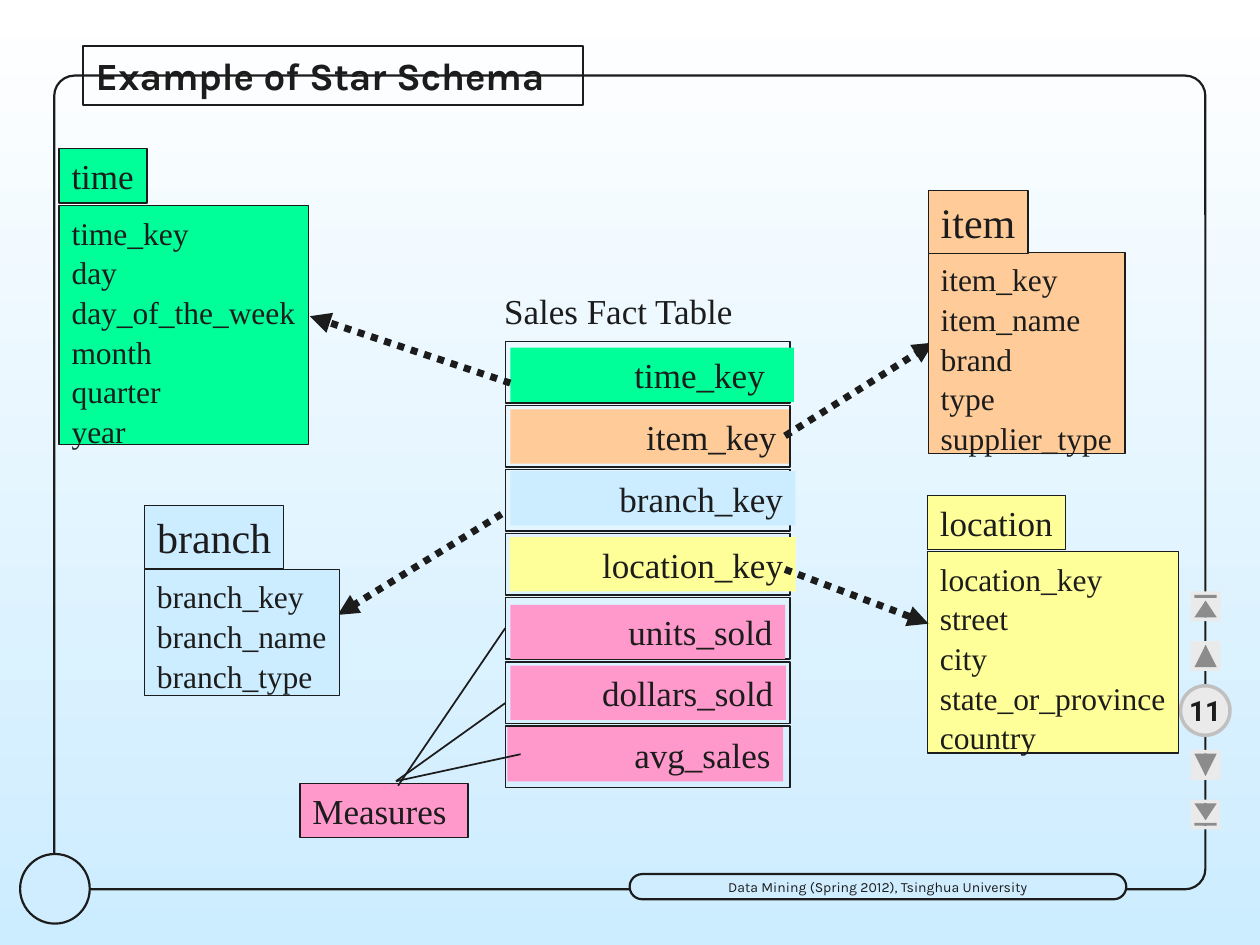
from lxml import etree
from pptx import Presentation
from pptx import util as u
from pptx.dml.color import RGBColor
from pptx.enum import dml, shapes, text
from pptx.oxml.ns import qn

COLORS = {
    "ink": "1C1C1C", "white": "FFFFFF", "sky": "CCECFF", "panel": "CFEDFF",
    "green": "00FF99", "orange": "FFCC99", "yellow": "FFFF99", "pink": "FF99CC",
    "button": "EAEAEA", "ring": "C0C0C0",
}
SERIF, SANS = "Times New Roman", "Karla"
SHAPE = shapes.MSO_SHAPE
LEFT, CENTER, RIGHT = text.PP_ALIGN.LEFT, text.PP_ALIGN.CENTER, text.PP_ALIGN.RIGHT
TOP, MIDDLE = text.MSO_ANCHOR.TOP, text.MSO_ANCHOR.MIDDLE


def rgb(name):
    return RGBColor.from_string(COLORS[name])


def write(sp, content, size=20, font=SERIF, bold=False, align=LEFT, anchor=TOP,
          wrap=False, right=7.2, spacing=1.0):
    """Put one paragraph per line of content into a shape."""
    tf = sp.text_frame
    tf.auto_size = text.MSO_AUTO_SIZE.NONE
    tf.word_wrap, tf.vertical_anchor = wrap, anchor
    tf.margin_left, tf.margin_right = u.Pt(7.2), u.Pt(right)
    tf.margin_top = tf.margin_bottom = u.Pt(3.6)
    for i, line in enumerate(content.split("\n")):
        p = tf.paragraphs[0] if i == 0 else tf.add_paragraph()
        p.alignment, p.line_spacing = align, spacing
        p.space_before = p.space_after = u.Pt(0)
        r = p.add_run()
        r.text = line
        r.font.name, r.font.size, r.font.bold = font, u.Pt(size), bold
        r.font.color.rgb = rgb("ink")


class Board:
    """Holds the style and the current slide."""

    def __init__(self, prs):
        self.s = prs.slides.add_slide(prs.slide_layouts[5])
        fill = self.s.background.fill
        fill.gradient()
        fill.gradient_angle = 270
        for stop, name in zip(fill.gradient_stops, ("white", "sky")):
            stop.color.rgb = rgb(name)
        fill.gradient_stops[0].position = 0
        fill.gradient_stops[1].position = 1

    def title(self, content, x, y, w, h):
        sp = self.s.shapes.title
        sp.left, sp.top, sp.width, sp.height = map(u.Pt, (x, y, w, h))
        self.outline(sp, "ink", 1.25)
        write(sp, content, size=22, font=SANS, bold=True, anchor=MIDDLE, wrap=True)

    def outline(self, sp, color, width):
        if color:
            sp.line.color.rgb, sp.line.width = rgb(color), u.Pt(width)
        else:
            sp.line.fill.background()

    def box(self, x, y, w, h, fill=None, line=None, width=0.75, kind=SHAPE.RECTANGLE, corner=None):
        sp = self.s.shapes.add_shape(kind, *map(u.Pt, (x, y, w, h)))
        sp.shadow.inherit = False
        if fill:
            sp.fill.solid()
            sp.fill.fore_color.rgb = rgb(fill)
        else:
            sp.fill.background()
        self.outline(sp, line, width)
        if corner is not None:
            sp.adjustments[0] = corner
        return sp

    def button(self, kind, y):
        self.box(680.4, y, 17, 17, "button", kind=kind).rotation = 90

    def dimension(self, name, fields, color, head, body, **name_format):
        """Draw a dimension table: its list of fields and the name above it."""
        write(self.box(*body, color, "ink"), fields, size=18, spacing=1.05)
        write(self.box(*head, color, "ink"), name, **name_format)

    def line(self, start, end, width=1, arrow=False):
        c = self.s.shapes.add_connector(shapes.MSO_CONNECTOR.STRAIGHT, *map(u.Pt, (*start, *end)))
        self.outline(c, "ink", width)
        if arrow:
            c.line.dash_style = dml.MSO_LINE.ROUND_DOT
            etree.SubElement(c.line._get_or_add_ln(), qn("a:tailEnd"), type="triangle")
        etree.SubElement(c._element.spPr, qn("a:effectLst"))


def draw_frame(board):
    board.box(31, 43.2, 657.8, 465, line="ink", width=1.25,
              kind=SHAPE.ROUNDED_RECTANGLE, corner=0.025)
    board.box(11.5, 488, 39.8, 39.8, "panel", "ink", 1.25, SHAPE.OVAL)
    footer = board.box(359.8, 499.5, 283.8, 14.4, "panel", "ink", 1.25,
                       SHAPE.ROUNDED_RECTANGLE, 0.5)
    write(footer, "Data Mining (Spring 2012), Tsinghua University", size=8, font=SANS,
          align=CENTER, anchor=MIDDLE)
    page = board.box(674.6, 391.9, 28.3, 28.3, "button", "ring", 2, SHAPE.OVAL)
    write(page, "11", size=16, font="Roboto", bold=True, align=CENTER, anchor=MIDDLE)
    for kind, y in ((SHAPE.ACTION_BUTTON_BEGINNING, 337.9),
                    (SHAPE.ACTION_BUTTON_BACK_OR_PREVIOUS, 366.4),
                    (SHAPE.ACTION_BUTTON_FORWARD_OR_NEXT, 428.6),
                    (SHAPE.ACTION_BUTTON_END, 457)):
        board.button(kind, y)


def draw_fact_table(board):
    write(board.box(281, 162, 147, 31), "Sales Fact Table")
    fields = [  # name, colour, left, top, width, right margin
        ("time_key", "green", 291.6, 198.7, 162, 16.5),
        ("item_key", "orange", 291.6, 234, 159.3, 7.2),
        ("branch_key", "sky", 291.6, 269.3, 163, 7.2),
        ("location_key", "yellow", 291.2, 306.9, 163.5, 7.2),
        ("units_sold", "pink", 291.6, 345.6, 157, 7.2),
        ("dollars_sold", "pink", 291.6, 380.4, 157.5, 7.2),
        ("avg_sales", "pink", 290, 415.6, 157.5, 7.2),
    ]
    for i, (name, color, x, y, w, margin) in enumerate(fields):
        board.box(288.9, 195.1 + 36.6 * i, 162.5, 35.3, line="ink", width=1)
        write(board.box(x, y, w, 31, color), name, align=RIGHT, wrap=True, right=margin)


def draw_measures(board):
    write(board.box(171.4, 447.8, 96, 31, "pink", "ink"), "Measures", wrap=True)
    for start, end in (((227.5, 449), (288.7, 359)),
                       ((226.3, 446.4), (288.7, 401.8)),
                       ((226.3, 446.4), (297.5, 431))):
        board.line(start, end)


def main():
    prs = Presentation()
    prs.slide_width, prs.slide_height = u.Pt(720), u.Pt(540)
    board = Board(prs)
    draw_frame(board)
    board.title("Example of Star Schema", 47.5, 26.2, 285.6, 33.8)
    board.dimension("time", "time_key\nday\nday_of_the_week\nmonth\nquarter\nyear", "green",
                    (33.8, 85, 50.2, 31), (33.8, 117.4, 142.5, 136.6))
    board.dimension("location", "location_key\nstreet\ncity\nstate_or_province\ncountry", "yellow",
                    (530, 283.2, 79, 31), (530, 315.2, 143.4, 115.2))
    draw_fact_table(board)
    draw_measures(board)
    for start, end in (((286.6, 293.8), (193, 351.4)), ((291.6, 218.9), (177.1, 180.7)),
                       ((448.6, 325.4), (530.6, 356.4)), ((448.6, 249.1), (533.5, 195.8))):
        board.line(start, end, 4, arrow=True)
    board.dimension("item", "item_key\nitem_name\nbrand\ntype\nsupplier_type", "orange",
                    (530.4, 108.8, 57, 36), (530.4, 144.2, 112.5, 115),
                    size=24, align=CENTER, anchor=MIDDLE)
    board.dimension("branch", "branch_key\nbranch_name\nbranch_type", "sky",
                    (82.6, 288.8, 79.6, 36), (82.6, 325.4, 111.5, 72),
                    size=24, align=CENTER)
    prs.save("out.pptx")


if __name__ == "__main__":
    main()
